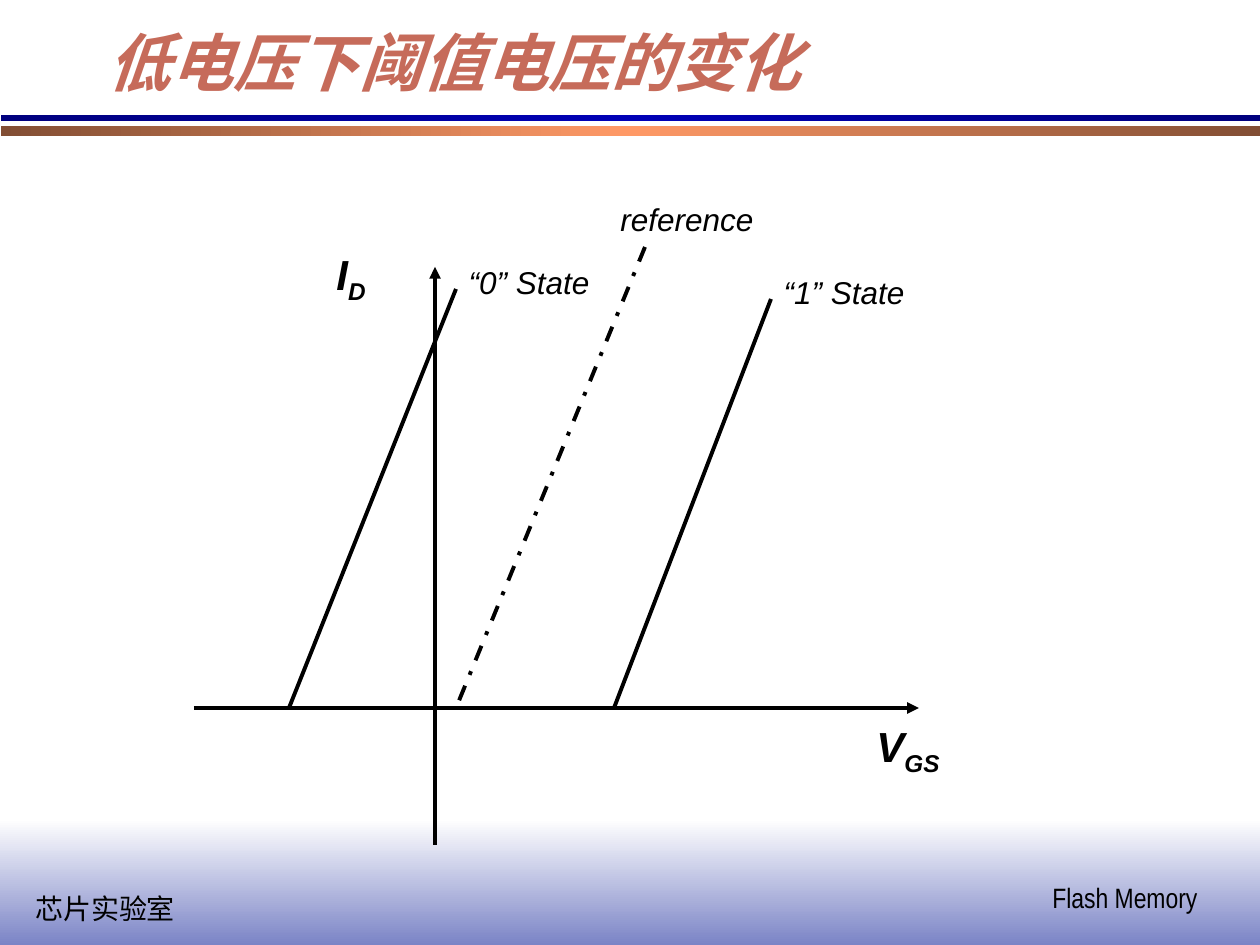
from lxml import etree
from pptx import Presentation
from pptx.dml.color import RGBColor
from pptx.enum.dml import MSO_LINE
from pptx.enum.shapes import MSO_CONNECTOR, MSO_SHAPE
from pptx.enum.text import MSO_ANCHOR, MSO_AUTO_SIZE, PP_ALIGN
from pptx.oxml.ns import qn
from pptx.util import Emu, Pt

LEFT, CENTER = PP_ALIGN.LEFT, PP_ALIGN.CENTER
DASH_DOT = MSO_LINE.DASH_DOT
EMU_PER_PX = 914400 / 126
BLACK = "000000"
AXIS_Y = 708

TITLE = ("低电压下阈值电压的变化", (95, 0, 1071, 105))
BANDS = [
    ((0, 819, 1260, 126), ["FFFFFF", "7B84C6"], 90),
    ((1, 126, 1259, 10), ["824E34", "FF9966", "824E34"], 0),
    ((1, 115, 1259, 6), ["00007E", "0000B6", "00007E"], 0),
]
FOOTERS = [
    ("芯片实验室", (23, 885, 165, 47)),
    ("Flash Memory", (1040, 874, 170, 47)),
]
AXES = [((194, AXIS_Y), (919, AXIS_Y)), ((435, 845), (435, 267))]
STATE_LINES = [
    ((289, AXIS_Y), (456, 289), None),
    ((614, AXIS_Y), (771, 299), None),
    ((645, 247), (456, AXIS_Y), DASH_DOT),
]
CURVE_LABELS = [
    ("“0” State", (456, 257, 146, 50)),
    ("“1” State", (771, 267, 146, 50)),
    ("reference", (582, 194, 210, 50)),
]
AXIS_LABELS = [
    ("V", "GS", (864, 714, 88, 71)),
    ("I", "D", (324, 242, 54, 71)),
]


def px(value):
    return Emu(round(value * EMU_PER_PX))


def color(value):
    return RGBColor.from_string(value)


def style(paragraph, name, size, fill=BLACK, bold=False, italic=False):
    font = paragraph.font
    font.name, font.size = name, Pt(size)
    font.bold, font.italic = bold, italic
    font.color.rgb = color(fill)


def add_band(slide, box, colors, angle):
    shape = slide.shapes.add_shape(MSO_SHAPE.RECTANGLE, *map(px, box))
    shape.shadow.inherit = False
    shape.line.fill.background()
    shape.fill.gradient()
    gradient = shape._element.spPr.find(qn("a:gradFill"))
    stops = gradient.find(qn("a:gsLst"))
    for stop in list(stops):
        stops.remove(stop)
    for index, value in enumerate(colors):
        position = str(100000 * index // (len(colors) - 1))
        stop = etree.SubElement(stops, qn("a:gs"), pos=position)
        etree.SubElement(stop, qn("a:srgbClr"), val=value)
    gradient.find(qn("a:lin")).set("ang", str(angle * 60000))


def add_label(slide, text, box, alignment, subscript=None):
    frame = slide.shapes.add_textbox(*map(px, box)).text_frame
    frame.word_wrap = False
    paragraph = frame.paragraphs[0]
    paragraph.alignment = alignment
    paragraph.add_run().text = text
    if subscript:
        run = paragraph.add_run()
        run.text = subscript
        run._r.get_or_add_rPr().set("baseline", "-25000")
    return paragraph


def add_line(slide, start, end, dash=None, arrow=False):
    connector = slide.shapes.add_connector(
        MSO_CONNECTOR.STRAIGHT, *map(px, start + end))
    connector.line.color.rgb = color(BLACK)
    connector.line.width = Pt(2.25)
    if dash:
        connector.line.dash_style = dash
    if arrow:
        etree.SubElement(connector.line._get_or_add_ln(), qn("a:tailEnd"), type="triangle")
    etree.SubElement(connector._element.spPr, qn("a:effectLst"))


def add_title(slide, text, box):
    title = slide.shapes.title
    title.left, title.top, title.width, title.height = map(px, box)
    frame = title.text_frame
    frame.text = text
    frame.auto_size = MSO_AUTO_SIZE.NONE
    frame.vertical_anchor = MSO_ANCHOR.BOTTOM
    paragraph = frame.paragraphs[0]
    paragraph.alignment = LEFT
    style(paragraph, "Arial Narrow", 36, "C66B5A", bold=True, italic=True)


def main():
    presentation = Presentation()
    presentation.slide_width, presentation.slide_height = px(1260), px(945)
    slide = presentation.slides.add_slide(presentation.slide_layouts[5])
    add_title(slide, *TITLE)
    for band in BANDS:
        add_band(slide, *band)
    for text, box in FOOTERS:
        style(add_label(slide, text, box, LEFT), "Arial Narrow", 16)
    for start, end in AXES:
        add_line(slide, start, end, arrow=True)
    for state_line in STATE_LINES:
        add_line(slide, *state_line)
    for text, box in CURVE_LABELS:
        style(add_label(slide, text, box, CENTER), "Arial", 18, italic=True)
    for text, subscript, box in AXIS_LABELS:
        paragraph = add_label(slide, text, box, CENTER, subscript)
        style(paragraph, "Arial", 24, bold=True, italic=True)
    presentation.save("out.pptx")


if __name__ == "__main__":
    main()
